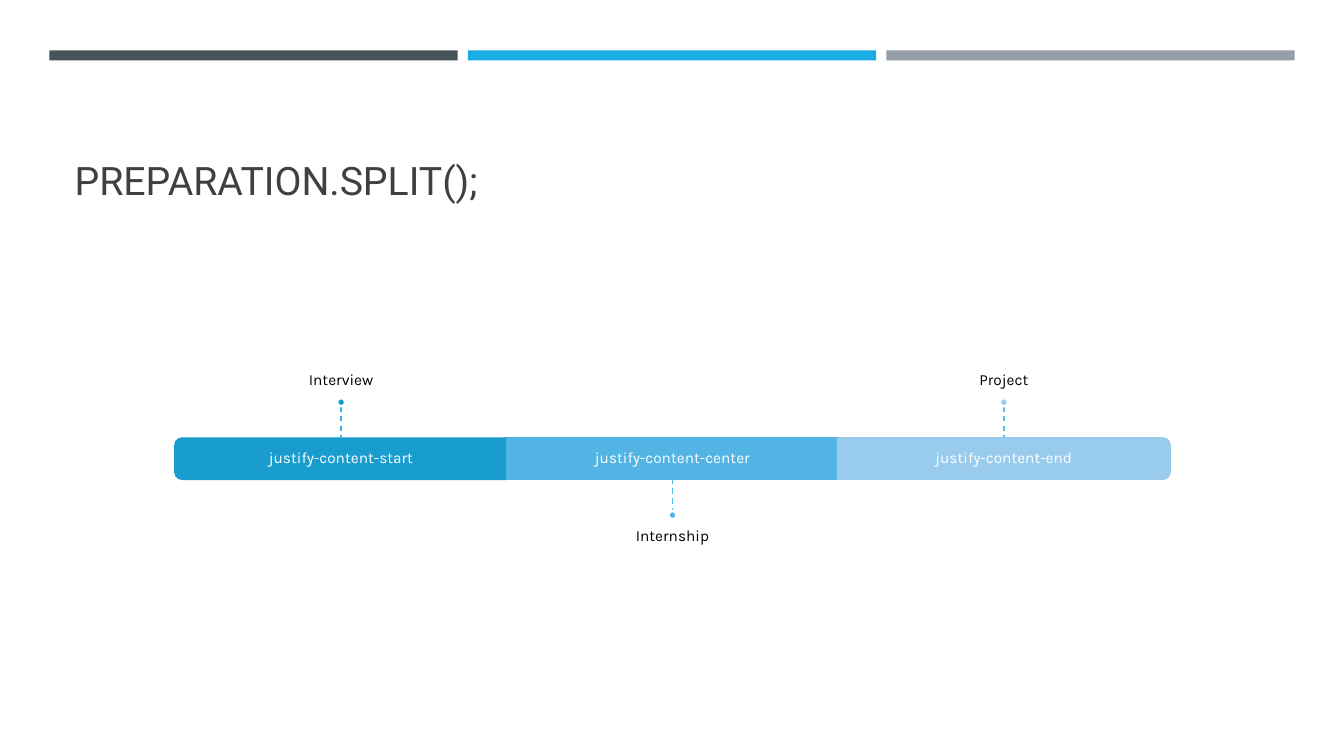
import pptx
import pptx.util
import pptx.dml.color
import pptx.enum.dml
import pptx.enum.shapes
import pptx.enum.text
import pptx.oxml.ns
import lxml.etree

Inches = pptx.util.Inches
Pt = pptx.util.Pt
SHAPE = pptx.enum.shapes.MSO_SHAPE
ANCHOR = pptx.enum.text.MSO_ANCHOR
ALIGN = pptx.enum.text.PP_ALIGN

# label, class name, fill, stem colour, label above the bar
STAGES = [
    ("Interview", "justify-content-start", "199DCF", "36B3E9", True),
    ("Internship", "justify-content-center", "52B3E5", "48B8EC", False),
    ("Project", "justify-content-end", "99CBEC", "5ABEEF", True),
]


def color(code):
    return pptx.dml.color.RGBColor.from_string(code)


def add_block(slide, kind, box, fill, line=None):
    block = slide.shapes.add_shape(kind, *[Inches(n) for n in box])
    block.shadow.inherit = False
    block.fill.solid()
    block.fill.fore_color.rgb = color(fill)
    if line:
        block.line.color.rgb = color(line)
        block.line.width = Pt(1.75)
    else:
        block.line.fill.background()
    return block


def add_label(slide, box, text, ink, anchor, pads):
    frame = slide.shapes.add_textbox(*[Inches(n) for n in box]).text_frame
    frame.word_wrap = True
    frame.vertical_anchor = anchor
    (frame.margin_left, frame.margin_top,
     frame.margin_right, frame.margin_bottom) = [Inches(n) for n in pads]
    para = frame.paragraphs[0]
    para.text = text
    para.alignment = ALIGN.CENTER
    para.line_spacing = 0.9
    para.font.size = Pt(11)
    para.font.name = "Karla"
    para.font.color.rgb = color(ink)


def add_stem(slide, mid, start, end, ink):
    stem = slide.shapes.add_connector(
        pptx.enum.shapes.MSO_CONNECTOR.STRAIGHT,
        Inches(mid), Inches(start), Inches(mid), Inches(end))
    stem.line.color.rgb = color(ink)
    stem.line.width = Pt(1)
    stem.line.dash_style = pptx.enum.dml.MSO_LINE.DASH
    lxml.etree.SubElement(stem._element.spPr, pptx.oxml.ns.qn("a:effectLst"))
    return stem


def add_bands(slide, left, top, width, height):
    """Three equal bands across the head of the slide."""
    gap = 0.1
    band = (width - 2 * gap) / 3
    for i, fill in enumerate(["465359", "1CADE4", "969FA7"]):
        add_block(slide, SHAPE.RECTANGLE,
                  (left + i * (band + gap), top, band, height), fill)


def add_title(slide, left, top, width, height):
    title = slide.shapes.title
    title.left, title.top = Inches(left), Inches(top)
    title.width, title.height = Inches(width), Inches(height)
    frame = title.text_frame
    frame.vertical_anchor = ANCHOR.BOTTOM
    frame.word_wrap = True
    para = frame.paragraphs[0]
    para.text = "PREPARATION.SPLIT();"
    para.alignment = ALIGN.LEFT
    para.line_spacing = 0.9
    para.font.size = Pt(28)
    para.font.name = "Roboto"
    para.font.color.rgb = color("404040")


def add_stage(slide, box, stage, turn):
    """One bar segment with its name, stem, dot and label."""
    label, name, fill, ink, above = stage
    left, top, width, height = box
    mid, base = left + width / 2, top + height
    reach, dot, wide, tall = 0.32, 0.08, 5.48, 1.39

    # Bar segment; the end pieces are turned on their side
    if turn:
        bar = add_block(slide, SHAPE.ROUND_2_SAME_RECTANGLE,
                        (mid - height / 2, top + height / 2 - width / 2,
                         height, width), fill, fill)
        bar.rotation = turn
    else:
        bar = add_block(slide, SHAPE.RECTANGLE, box, fill, fill)
    add_label(slide, box, name, "FFFFFF", ANCHOR.MIDDLE, [0.09] * 4)

    # Label, stem and dot, above or below the bar
    if above:
        peak = top - reach - dot
        add_label(slide, (mid - wide / 2, peak - tall, wide, tall), label,
                  "000000", ANCHOR.BOTTOM, (0, 0, 0, 0.09))
        add_stem(slide, mid, peak + dot, top, ink)
    else:
        peak = base + reach
        add_label(slide, (mid - wide / 2, peak + dot, wide, tall), label,
                  "000000", ANCHOR.TOP, (0, 0.09, 0, 0))
        stem = add_stem(slide, mid, base, peak, ink)
        stem.begin_connect(bar, 2)
    add_block(slide, SHAPE.OVAL, (mid - dot / 2, peak, dot, dot),
              fill, "FFFFFF")


def add_timeline(slide, left, top, width, height):
    part = width / len(STAGES)
    for i, (stage, turn) in enumerate(zip(STAGES, [270, 0, 90])):
        add_stage(slide, (left + i * part, top, part, height), stage, turn)


def main():
    deck = pptx.Presentation()
    deck.slide_width, deck.slide_height = Inches(13.33), Inches(7.5)
    slide = deck.slides.add_slide(deck.slide_layouts[5])
    add_bands(slide, 0.49, 0.5, 12.35, 0.1)
    add_title(slide, 0.64, 0.77, 12.06, 1.3)
    add_timeline(slide, 1.74, 4.35, 9.86, 0.4)
    deck.save("out.pptx")


if __name__ == "__main__":
    main()
